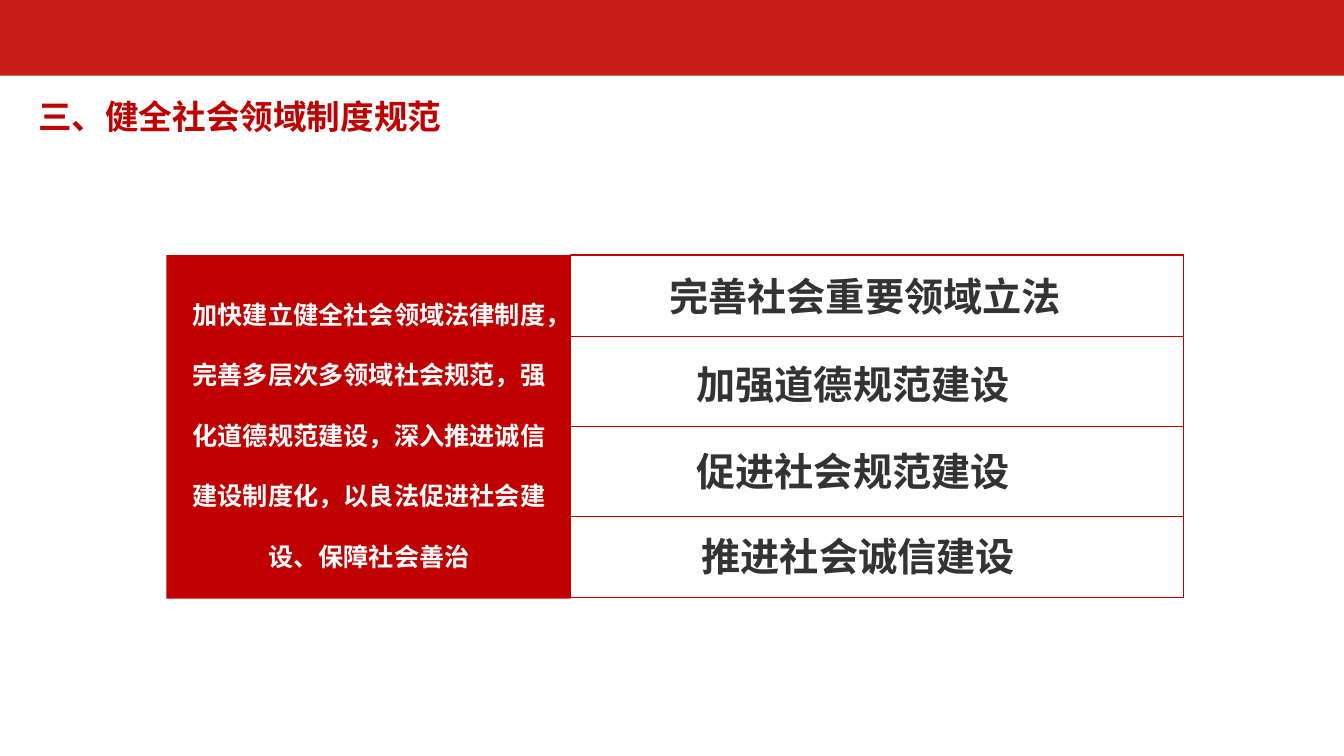
import pptx
import pptx.util
import pptx.dml.color
import pptx.enum.shapes
import pptx.enum.text
import pptx.oxml.ns
import lxml.etree

Inches = pptx.util.Inches
Pt = pptx.util.Pt
Color = pptx.dml.color.RGBColor
BAND = Color(0xC7, 0x1E, 0x18)
RED = Color(0xC0, 0x00, 0x00)
DARK = Color(0x33, 0x33, 0x33)
WHITE = Color(0xFF, 0xFF, 0xFF)
FONT = "Noto Sans CJK SC"
RECT = pptx.enum.shapes.MSO_SHAPE.RECTANGLE
LINE = pptx.enum.shapes.MSO_CONNECTOR.STRAIGHT
CENTER = pptx.enum.text.PP_ALIGN.CENTER
TITLE = "三、健全社会领域制度规范"
INTRO = ("加快建立健全社会领域法律制度，完善多层次多领域社会规范，"
         "强化道德规范建设，深入推进诚信建设制度化，"
         "以良法促进社会建设、保障社会善治")
ROWS = [
    ("完善社会重要领域立法", 0.88, 0.12, 4.45, 1),
    ("加强道德规范建设", 1.15, 1.05, 3.51, 0.9),
    ("促进社会规范建设", 1.15, 1.91, 3.38, 0.9),
    ("推进社会诚信建设", 1.2, 2.75, 3.51, 0.9),
]


def add_box(slide, left, top, width, height, fill=None, line=None):
    """Draw a rectangle with an optional fill and outline."""
    box = slide.shapes.add_shape(
        RECT, Inches(left), Inches(top), Inches(width), Inches(height))
    box.shadow.inherit = False
    if fill is None:
        box.fill.background()
    else:
        box.fill.solid()
        box.fill.fore_color.rgb = fill
    if line is None:
        box.line.fill.background()
    else:
        box.line.color.rgb = line
        box.line.width = Pt(1)
    return box


def add_text(slide, left, top, width, height, text, size, color,
             space=1, wrap=True, align=None):
    """Place one bold paragraph of text."""
    box = slide.shapes.add_textbox(
        Inches(left), Inches(top), Inches(width), Inches(height))
    box.text_frame.word_wrap = wrap
    para = box.text_frame.paragraphs[0]
    para.text = text
    para.line_spacing = space
    para.alignment = align
    para.font.size = Pt(size)
    para.font.bold = True
    para.font.name = FONT
    para.font.color.rgb = color
    east = lxml.etree.SubElement(
        para.runs[0]._r.get_or_add_rPr(), pptx.oxml.ns.qn("a:ea"))
    east.set("typeface", FONT)


def add_head(slide, left, top, width, height):
    """Draw the top band and the title below it."""
    add_box(slide, left, top, width, height, BAND)
    add_text(slide, left + 0.28, top + 0.82, 4.24, 0.56,
             TITLE, 24, RED, 1.2, wrap=False)


def add_intro(slide, left, top, width, height):
    """Draw the red panel with its centred summary."""
    add_box(slide, left, top, width, height, RED)
    add_text(slide, left + 0.11, top + 0.09, 3.8, 3.48,
             INTRO, 18, WHITE, 2, align=CENTER)


def add_list(slide, left, top, width, height):
    """Draw the framed list with its dividing rules."""
    for text, dx, dy, wide, space in ROWS:
        add_text(slide, left + dx, top + dy, wide, 0.53,
                 text, 28, DARK, space)
    frame = add_box(slide, left, top, width, height, line=RED)
    for step in (-1, 0, 1):
        y = Inches(top + height / 2 + step * 0.89)
        rule = slide.shapes.add_connector(
            LINE, Inches(left), y, Inches(left + width), y)
        rule.line.color.rgb = RED
        rule.line.width = Pt(0.5)
        lxml.etree.SubElement(
            rule._element.spPr, pptx.oxml.ns.qn("a:effectLst"))
        if step == 0:
            rule.begin_connect(frame, 1)
            rule.end_connect(frame, 3)


def main():
    """Build the slide and save it."""
    deck = pptx.Presentation()
    deck.slide_width = Inches(13.33)
    deck.slide_height = Inches(7.5)
    slide = deck.slides.add_slide(deck.slide_layouts[6])
    add_head(slide, 0, 0, 13.33, 0.75)
    add_intro(slide, 1.65, 2.53, 4.01, 3.41)
    add_list(slide, 5.66, 2.53, 6.08, 3.4)
    deck.save("out.pptx")


if __name__ == "__main__":
    main()
